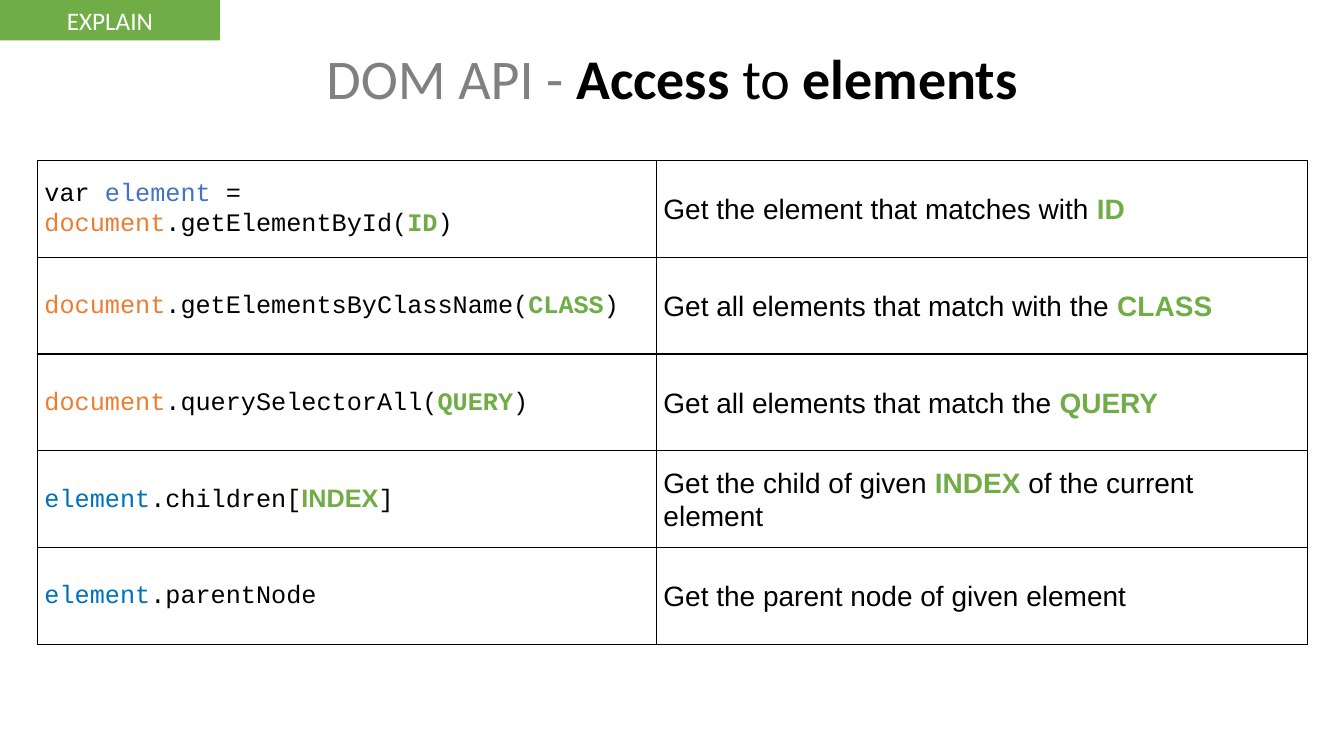
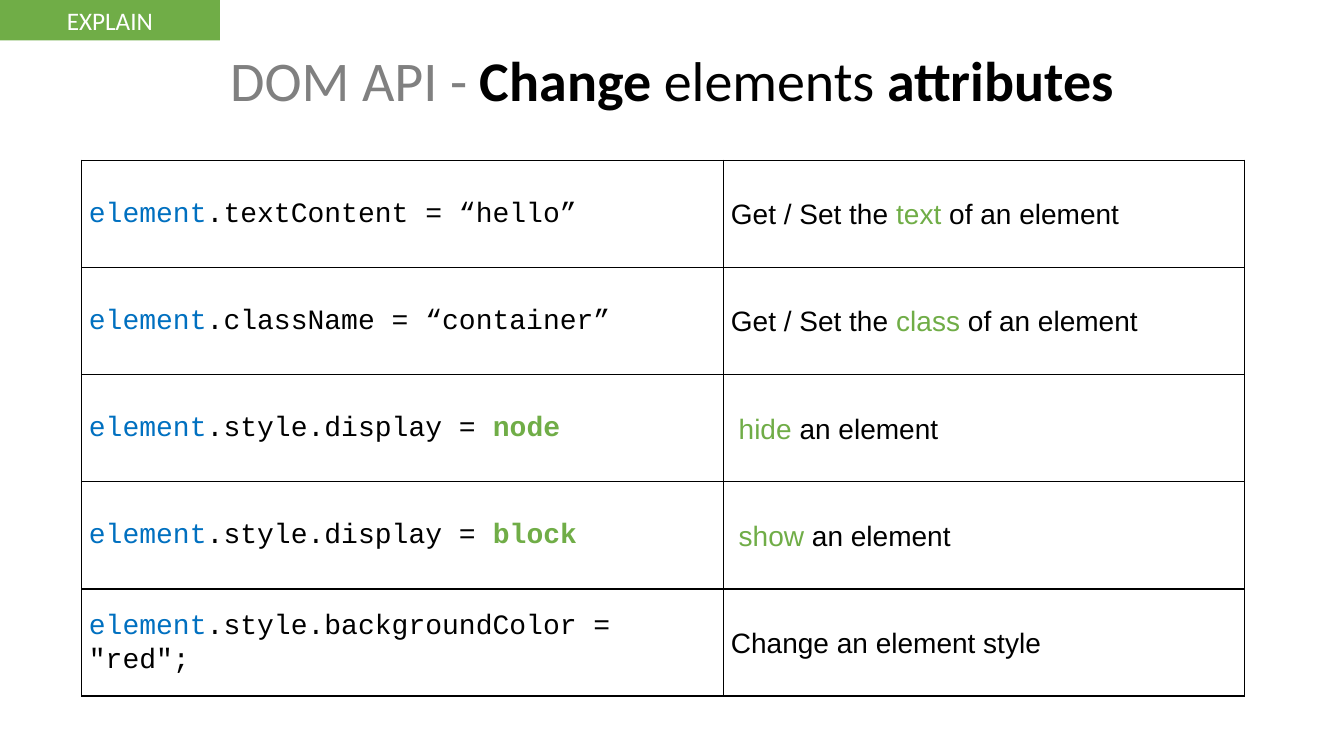
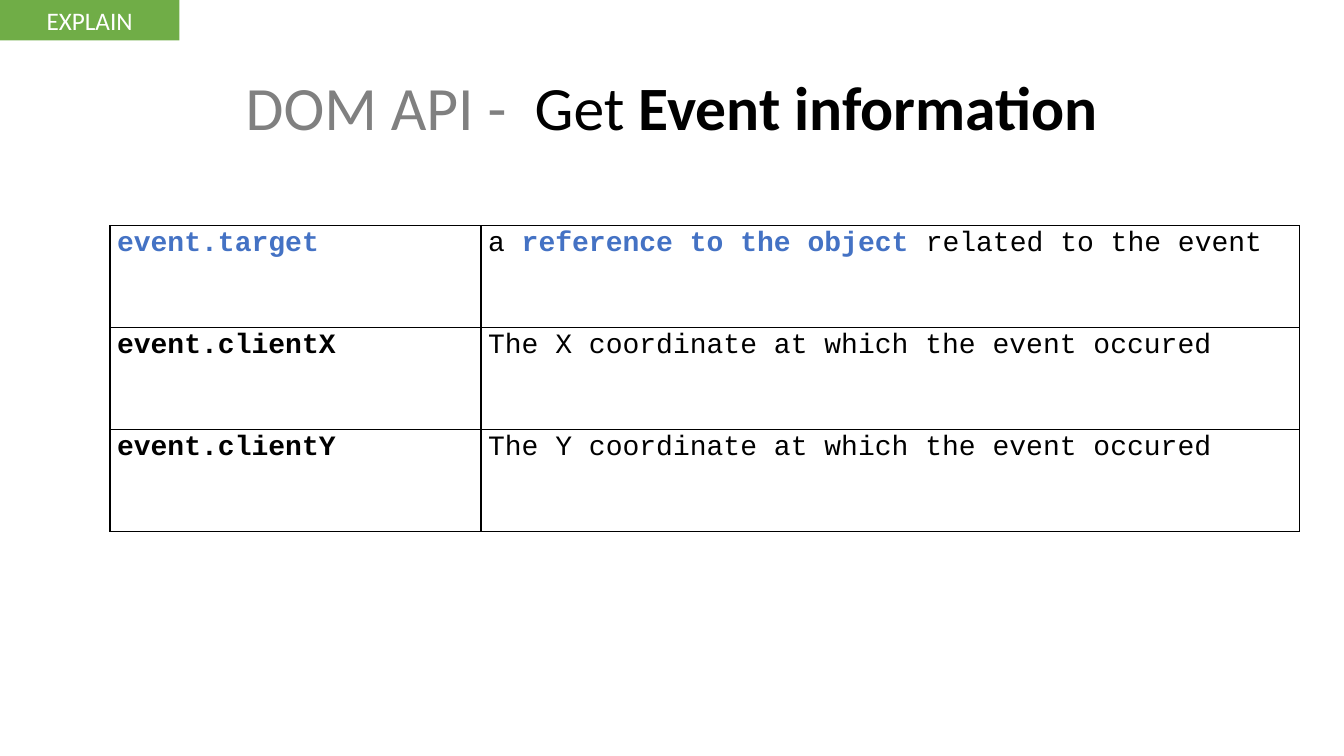
from lxml import etree
from pptx import Presentation
from pptx.dml.color import RGBColor as RGB
from pptx.enum.shapes import MSO_SHAPE as SHAPE
from pptx.enum.text import MSO_ANCHOR as ANCHOR, MSO_AUTO_SIZE as FIT, PP_ALIGN as ALIGN
from pptx.oxml.ns import qn
from pptx.util import Cm, Pt

WIDE, HIGH = 33.87, 19.05
BLACK, WHITE, GREY = "000000", "FFFFFF", "808080"
GREEN, ORANGE, BLUE, NAVY = "70AD47", "ED7D31", "0070C0", "4472C4"
CODE, BODY, HEAD = "Courier New", "Arial", "Calibri"


def write(para, text, font=BODY, size=20, color=BLACK, bold=False):
    run = para.add_run()
    run.text = text
    run.font.name = font
    run.font.size = Pt(size)
    run.font.bold = bold
    run.font.color.rgb = RGB.from_string(color)


def frame(cell):
    """Draw a thin black line on all four sides of a table cell."""
    props = cell._tc.get_or_add_tcPr()
    for spot, side in enumerate(("lnL", "lnR", "lnT", "lnB")):
        line = etree.Element(qn("a:" + side), w=str(Pt(1)))
        fill = etree.SubElement(line, qn("a:solidFill"))
        etree.SubElement(fill, qn("a:srgbClr"), val=BLACK)
        props.insert(spot, line)


# Run formats
plain, bold = {}, {"bold": True}
doc, elem = {"color": ORANGE}, {"color": BLUE}
green, navy = {"color": GREEN}, {"color": NAVY}
key, ref = green | bold, navy | bold

# Each cell is a list of (text, format) runs
access = [
    ([("var ", plain), ("element ", navy), ("= ", plain), ("document", doc),
      (".getElementById(", plain), ("ID", key), (")", plain)],
     [("Get the element that matches with ", plain), ("ID", key)]),
    ([("document", doc), (".getElementsByClassName(", plain), ("CLASS", key), (")", plain)],
     [("Get all elements that match with the ", plain), ("CLASS", key)]),
    ([("document", doc), (".querySelectorAll(", plain), ("QUERY", key), (")", plain)],
     [("Get all elements that match the ", plain), ("QUERY", key)]),
    ([("element", elem), (".children[", plain), ("INDEX", key | {"font": BODY}), ("]", plain)],
     [("Get the child of given ", plain), ("INDEX", key), (" of the current element", plain)]),
    ([("element", elem), (".parentNode", plain)],
     [("Get the parent node of given element", plain)]),
]
change = [
    ([("element", elem), (".textContent = “hello”", plain)],
     [("Get / Set the ", plain), ("text", green), (" of an element", plain)]),
    ([("element", elem), (".className = “container”", plain)],
     [("Get / Set the ", plain), ("class", green), (" of an element", plain)]),
    ([("element", elem), (".style.display = ", plain), ("node", key)],
     [(" hide", green), (" an element", plain)]),
    ([("element", elem), (".style.display = ", plain), ("block", key)],
     [(" show", green), (" an element", plain)]),
    ([("element", elem), ('.style.backgroundColor = "red";', plain)],
     [("Change an element style", plain)]),
]
event = [
    ([("event.target", ref)],
     [("a ", plain), ("reference to the object ", ref), ("related to the event", plain)]),
    ([("event.clientX", bold)], [("The X coordinate at which the event occured", plain)]),
    ([("event.clientY", bold)], [("The Y coordinate at which the event occured", plain)]),
]

# Lengths in cm; title box is (top, width, height), fonts are (face, size) by column
pages = [
    {"title": [("Access ", bold), ("to", plain), (" elements", bold)],
     "box": (0.97, 22, 1.96), "size": 40, "tag": 5.54,
     "rows": access, "at": (0.94, 4.04), "cols": (15.6, 16.41), "step": 2.44,
     "fonts": ((CODE, 18), (BODY, 20)), "anchor": ANCHOR.MIDDLE},
    {"title": [("Change", bold), (" elements ", plain), ("attributes", bold)],
     "box": (1.02, 25.91, 1.96), "size": 40, "tag": 5.54,
     "rows": change, "at": (2.06, 4.04), "cols": (16.18, 13.13), "step": 2.7,
     "fonts": ((CODE, 20), (BODY, 20)), "anchor": ANCHOR.MIDDLE},
    {"title": [(" Get ", plain), ("Event information", bold)],
     "box": (1.6, 23.11, 2.13), "size": 44, "tag": 4.52,
     "rows": event, "at": (2.77, 5.69), "cols": (9.35, 20.62), "step": 2.57,
     "fonts": ((CODE, 20), (CODE, 20)), "anchor": ANCHOR.TOP},
]

deck = Presentation()
deck.slide_width, deck.slide_height = Cm(WIDE), Cm(HIGH)

for page in pages:
    slide = deck.slides.add_slide(deck.slide_layouts[5])

    # Title
    title = slide.shapes.title
    top, width, height = page["box"]
    title.left, title.top = Cm((WIDE - width) / 2), Cm(top)
    title.width, title.height = Cm(width), Cm(height)
    text = title.text_frame
    text.auto_size, text.word_wrap = FIT.NONE, False
    text.vertical_anchor = ANCHOR.TOP
    para = text.paragraphs[0]
    para.alignment = ALIGN.CENTER
    for words, style in [("DOM API - ", {"color": GREY})] + page["title"]:
        write(para, words, font=HEAD, size=page["size"], **style)

    # Corner tag
    tag = slide.shapes.add_shape(SHAPE.RECTANGLE, 0, 0, Cm(page["tag"]), Cm(1.02))
    tag.shadow.inherit = False
    tag.fill.solid()
    tag.fill.fore_color.rgb = RGB.from_string(GREEN)
    tag.line.fill.background()
    para = tag.text_frame.paragraphs[0]
    para.alignment = ALIGN.CENTER
    write(para, "EXPLAIN", font=HEAD, size=18, color=WHITE)

    # Table
    rows, cols, step = page["rows"], page["cols"], page["step"]
    left, top = page["at"]
    table = slide.shapes.add_table(len(rows), len(cols), Cm(left), Cm(top),
                                   Cm(sum(cols)), Cm(step * len(rows))).table
    table.first_row = table.horz_banding = False
    for col, width in zip(table.columns, cols):
        col.width = Cm(width)
    for r, row in enumerate(rows):
        for c, runs in enumerate(row):
            cell = table.cell(r, c)
            cell.fill.background()
            frame(cell)
            cell.vertical_anchor = page["anchor"]
            cell.margin_left = cell.margin_right = Cm(0.18)
            cell.margin_top = cell.margin_bottom = 0
            para = cell.text_frame.paragraphs[0]
            para.line_spacing = 1.07
            face, size = page["fonts"][c]
            for words, style in runs:
                write(para, words, **({"font": face, "size": size} | style))

deck.save("out.pptx")
